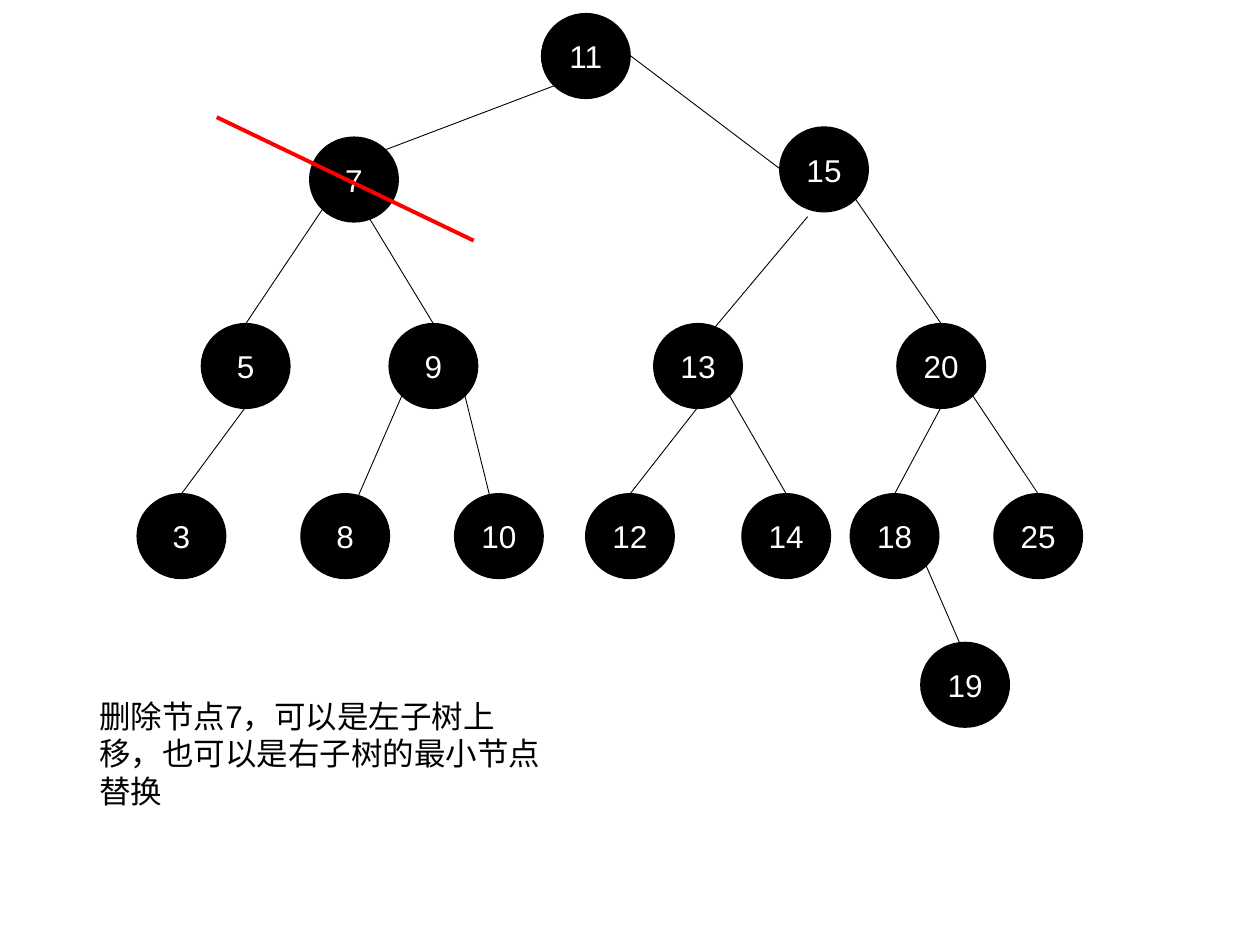
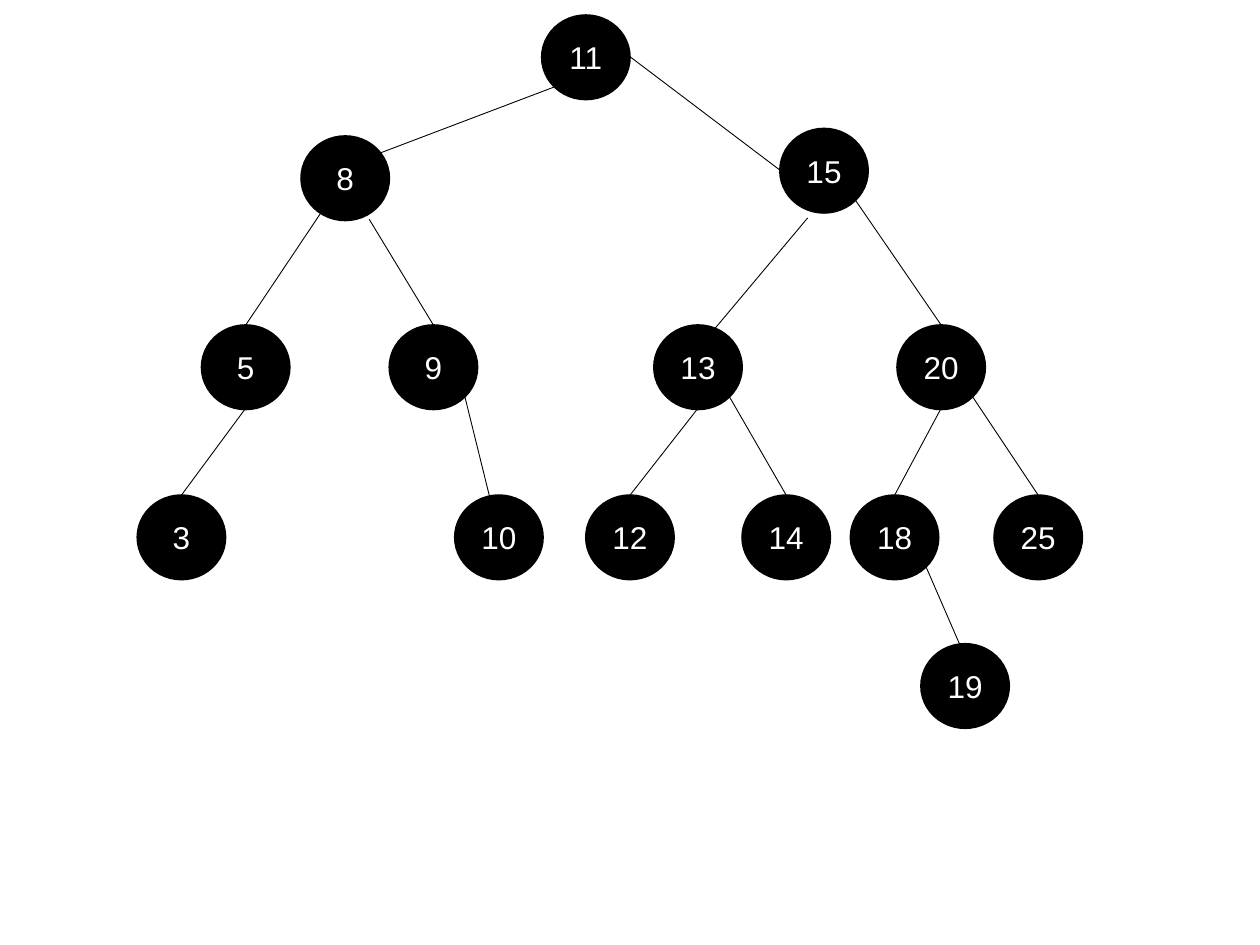
from lxml import etree
from pptx import Presentation
from pptx.dml.color import RGBColor
from pptx.enum.shapes import MSO_CONNECTOR, MSO_SHAPE
from pptx.enum.text import MSO_ANCHOR, MSO_AUTO_SIZE, PP_ALIGN
from pptx.oxml.ns import qn
from pptx.util import Emu, Pt

STRAIGHT = MSO_CONNECTOR.STRAIGHT
OVAL = MSO_SHAPE.OVAL
MIDDLE = MSO_ANCHOR.MIDDLE
CENTER = PP_ALIGN.CENTER
GROW = MSO_AUTO_SIZE.SHAPE_TO_FIT_TEXT

EMU_PER_PX = 9144  # 100 px to the inch
COLOURS = {"ink": "000000", "paper": "FFFFFF", "strike": "FF0000"}
FONT = {"name": "Arial", "size": Pt(18)}
NODE_WIDTH, NODE_HEIGHT = 70, 67

# Key -> left and top of its circle
NODES = {
    11: (430, 11), 7: (246, 109), 15: (619, 101),
    5: (160, 257), 9: (309, 257), 13: (519, 257), 20: (712, 257),
    3: (109, 392), 8: (239, 392), 10: (361, 392), 12: (465, 392),
    14: (589, 392), 18: (675, 392), 25: (789, 392),
    19: (731, 510),
}

# Where a branch touches a circle, from the circle's left and top
TOP, BOTTOM = (35, 0), (35, 66)
LEFT, RIGHT = (0, 33), (70, 33)
LOWER_LEFT, LOWER_RIGHT = (10, 57), (60, 57)

# Parent, point on it, child, point on it
BRANCHES = [
    (11, LOWER_LEFT, 7, (49, 14)),
    (11, RIGHT, 15, LEFT),
    (15, LOWER_RIGHT, 20, TOP),
    (20, LOWER_RIGHT, 25, TOP),
    (7, LOWER_LEFT, 5, TOP),
    (7, (47, 64), 9, TOP),
    (15, (22, 71), 13, (44, 8)),
    (5, BOTTOM, 3, TOP),
    (9, LOWER_RIGHT, 10, (29, 7)),
    (9, LOWER_LEFT, 8, (40, 14)),
    (13, BOTTOM, 12, TOP),
    (13, LOWER_RIGHT, 14, TOP),
    (20, BOTTOM, 18, TOP),
    (18, LOWER_RIGHT, 19, (37, 15)),
]


def px(*lengths):
    return [Emu(length * EMU_PER_PX) for length in lengths]


def colour(name):
    return RGBColor.from_string(COLOURS[name])


def write(text_frame, text, colour_name):
    text_frame.word_wrap = True
    paragraph = text_frame.paragraphs[0]
    run = paragraph.add_run()
    run.text = text
    for attribute, value in FONT.items():
        setattr(run.font, attribute, value)
    run.font.color.rgb = colour(colour_name)
    return paragraph


def add_node(slide, key, left, top):
    node = slide.shapes.add_shape(OVAL, *px(left, top, NODE_WIDTH, NODE_HEIGHT))
    node.shadow.inherit = False
    node.fill.solid()
    node.fill.fore_color.rgb = colour("ink")
    node.line.color.rgb = colour("ink")
    node.line.width = Pt(1)
    node.text_frame.vertical_anchor = MIDDLE
    write(node.text_frame, str(key), "paper").alignment = CENTER


def add_line(slide, start, end, colour_name="ink", width=0.5):
    line = slide.shapes.add_connector(STRAIGHT, *px(*start, *end))
    line.line.color.rgb = colour(colour_name)
    line.line.width = Pt(width)
    etree.SubElement(line._element.spPr, qn("a:effectLst"))


def add_note(slide, text, left, top, width, height):
    """Add a text box whose punctuation stays inside the right margin."""
    box = slide.shapes.add_textbox(*px(left, top, width, height))
    paragraph = write(box.text_frame, text, "ink")
    paragraph._p.get_or_add_pPr().set("hangingPunct", "0")
    box.text_frame.auto_size = GROW


def add_tree(slide, nodes, branches, drop=0):
    """Draw circles, then branches between the places in NODES, all lowered by drop."""
    def point(key, offset):
        left, top = NODES[key]
        return left + offset[0], top + offset[1] + drop

    for key, (left, top) in nodes.items():
        add_node(slide, key, left, top + drop)
    for parent, parent_point, child, child_point in branches:
        add_line(slide, point(parent, parent_point), point(child, child_point))


def add_blank_slide(presentation):
    return presentation.slides.add_slide(presentation.slide_layouts[6])


def main():
    presentation = Presentation()
    presentation.slide_width, presentation.slide_height = px(1000, 750)

    before = add_blank_slide(presentation)
    add_tree(before, NODES, BRANCHES)
    add_line(before, (172, 93), (376, 191), "strike", 2.25)
    add_note(before, "删除节点7，可以是左子树上移，也可以是右子树的最小节点替换",
             69, 548, 371, 70)

    after = add_blank_slide(presentation)
    nodes = {key: place for key, place in NODES.items() if key != 7}
    nodes[8] = (239, 107)
    branches = [branch for branch in BRANCHES if branch[2] != 8]
    add_tree(after, nodes, branches, drop=1)

    presentation.save("out.pptx")


if __name__ == "__main__":
    main()
